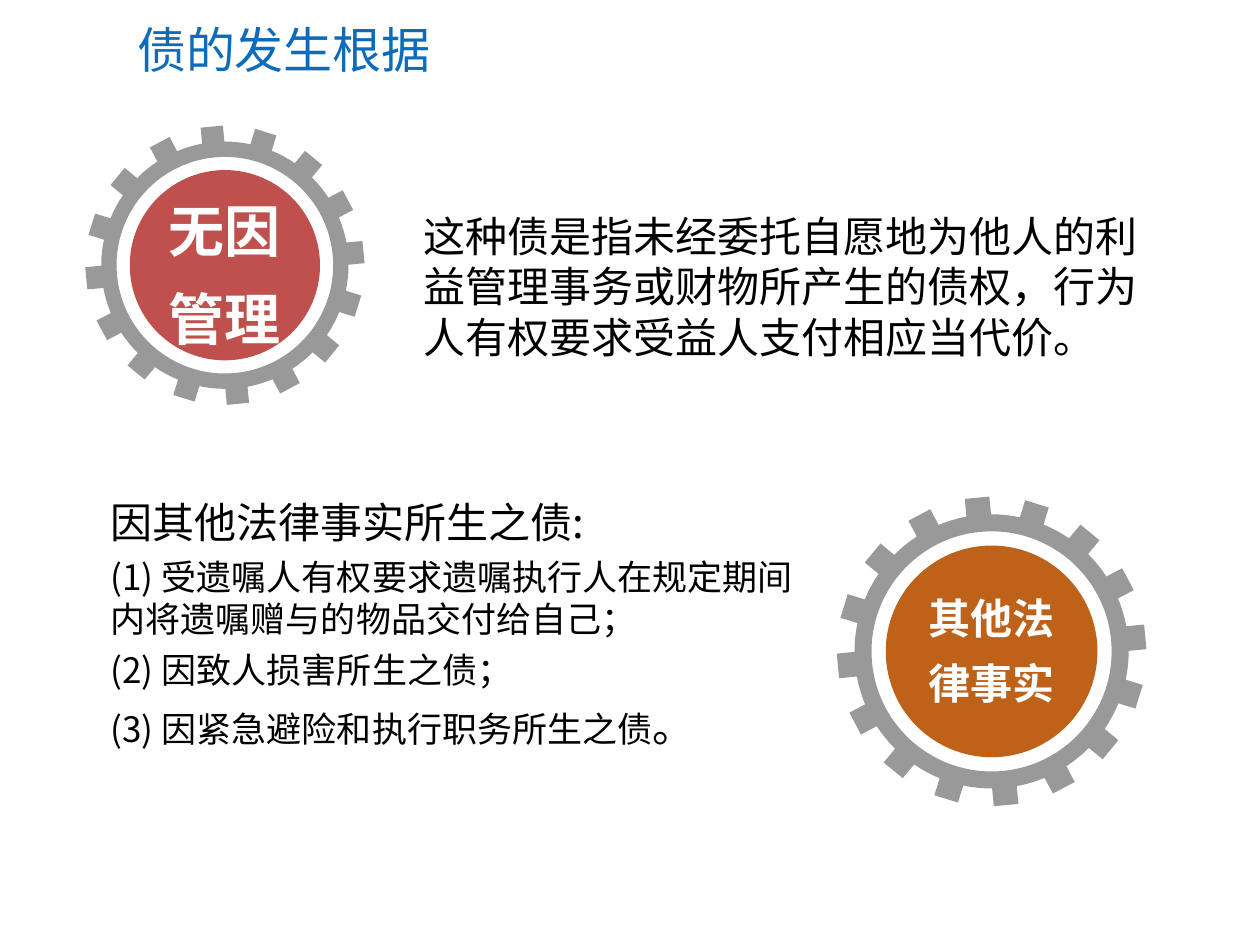
"""Build the slide on how obligations arise, with two labelled gears."""
from math import asin, cos, pi, sin

from lxml import etree
from pptx import Presentation
from pptx import util as u
from pptx.dml.color import RGBColor
from pptx.enum import shapes, text
from pptx.oxml.ns import qn

SANS = "Noto Sans CJK SC"
WHITE, BLACK, BLUE, GREY = "FFFFFF", "000000", "0C6BBA", "808080"
TILT = 354.6
TEETH = 16
ROOT, HOLE, HALF = 0.888, 0.778, 0.08

# Paragraphs: space before, then runs of (words, size, font)
TITLE = [(0, [("债的发生根据", 28, "Calibri")])]
CLAIM = [(6, [("这种债是指未经委托自愿地为他人的利益管理事务或财物所产生的债权，"
               "行为人有权要求受益人支付相应当代价。", 24, SANS)])]
OTHERS = [
    (6, [("因其他法律事实所生之债:", 24, SANS)]),
    (5, [("(1) 受遗嘱人有权要求遗嘱执行人在规定期间内将遗嘱赠与的物品交付给自己；", 20, SANS)]),
    (5, [("(2) 因致人损害所生之债；", 20, SANS)]),
    (6, [("(3) 因紧急避险和执行职务所生之债", 20, SANS), ("。", 24, "DejaVu Sans")]),
]
GEARS = [
    dict(mid=(1.785, 2.105), rad=1.105, disc=0.755, color="C0504D",
         box=(1.24, 1.46, 1.09, 1.39), wrap=False,
         label=[(8, [(row, 32, SANS)]) for row in ("无因", "管理")]),
    dict(mid=(7.87, 5.17), rad=1.225, disc=0.84, color="BE6119",
         box=(7.1, 4.61, 1.54, 1.07), wrap=True,
         label=[(6, [(row, 24, SANS)]) for row in ("其他法", "律事实")]),
]


def rgb(code):
    return RGBColor.from_string(code)


def paint(shape, color):
    shape.shadow.inherit = False
    shape.fill.solid()
    shape.fill.fore_color.rgb = rgb(color)
    shape.line.fill.background()


def write(home, box, paras, color, label=False, wrap=True, middle=False):
    frame = home.add_textbox(*map(u.Inches, box)).text_frame
    frame.word_wrap = wrap
    if middle:
        frame.vertical_anchor = text.MSO_ANCHOR.MIDDLE
    for i, (gap, runs) in enumerate(paras):
        para = frame.paragraphs[0] if i == 0 else frame.add_paragraph()
        para.space_before = u.Pt(gap)
        if label:
            para.alignment = text.PP_ALIGN.CENTER
            para.line_spacing = 1.1
        for words, size, face in runs:
            run = para.add_run()
            run.text = words
            font = run.font
            font.size, font.name, font.bold = u.Pt(size), face, label
            font.color.rgb = rgb(color)
            east = etree.SubElement(run._r.get_or_add_rPr(), qn("a:ea"))
            east.set("typeface", face)


def outline():
    """Return the toothed rim and the round hole of a gear of radius one."""
    step = 2 * pi / TEETH
    edge = asin(HALF / ROOT)
    rim = []
    for i in range(TEETH):
        turn = i * step
        for side in (-HALF, HALF):
            rim.append((cos(turn) - side * sin(turn), sin(turn) + side * cos(turn)))
        for k in range(5):
            ang = turn + edge + k * (step - 2 * edge) / 4
            rim.append((ROOT * cos(ang), ROOT * sin(ang)))
    hole = [(HOLE * cos(-a * pi / 60), HOLE * sin(-a * pi / 60)) for a in range(120)]
    return rim, hole


def draw_gear(slide, mid, rad, disc, color, box, wrap, label):
    home = slide.shapes.add_group_shape().shapes
    x, y = mid
    rim, hole = [[(u.Inches(x + rad * a), u.Inches(y + rad * b)) for a, b in ring]
                 for ring in outline()]
    pen = home.build_freeform(*rim[0])
    pen.add_line_segments(rim[1:], close=True)
    pen.move_to(*hole[0])
    pen.add_line_segments(hole[1:], close=True)
    gear = pen.convert_to_shape()
    paint(gear, GREY)
    tint = gear._element.spPr.find(qn("a:solidFill"))[0]
    etree.SubElement(tint, qn("a:alpha")).set("val", "80000")
    core = home.add_shape(shapes.MSO_SHAPE.OVAL,
                          *map(u.Inches, (x - disc, y - disc, 2 * disc, 2 * disc)))
    paint(core, color)
    gear.rotation = core.rotation = TILT
    write(home, box, label, WHITE, label=True, wrap=wrap)


def main():
    deck = Presentation()
    deck.slide_width, deck.slide_height = u.Inches(10), u.Inches(7.5)
    slide = deck.slides.add_slide(deck.slide_layouts[6])
    write(slide.shapes, (0.99, 0.1, 8.72, 0.58), TITLE, BLUE, middle=True)
    write(slide.shapes, (3.26, 1.62, 6.14, 1.3), CLAIM, BLACK)
    for gear in GEARS:
        draw_gear(slide, **gear)
    write(slide.shapes, (0.78, 3.89, 5.75, 2.61), OTHERS, BLACK)
    deck.save("out.pptx")


if __name__ == "__main__":
    main()
